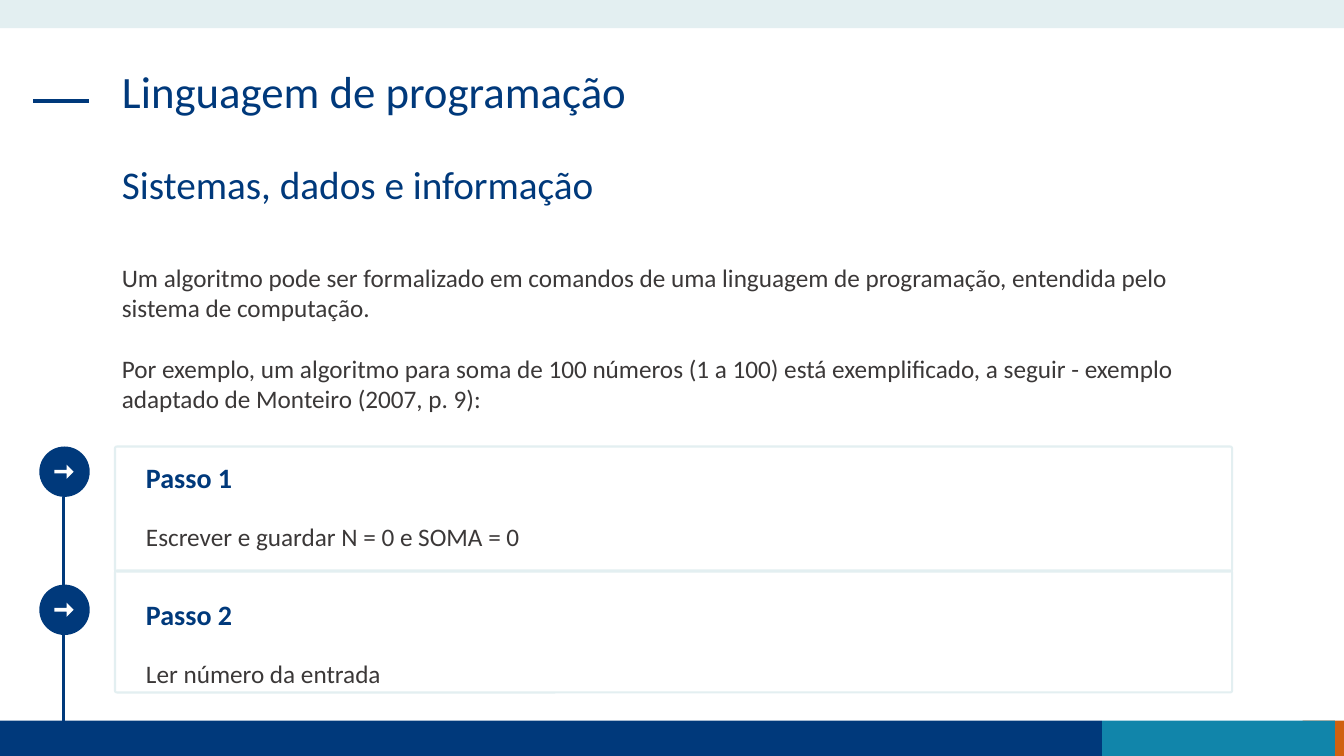
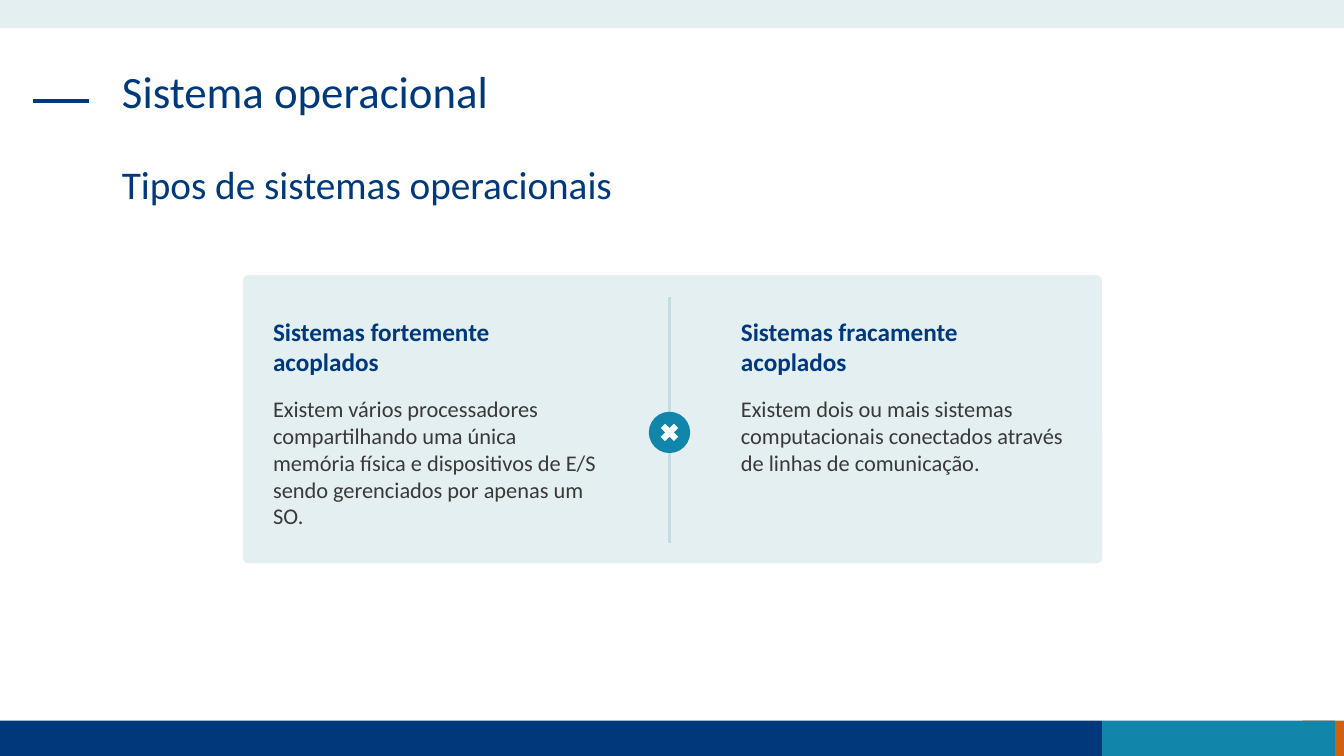
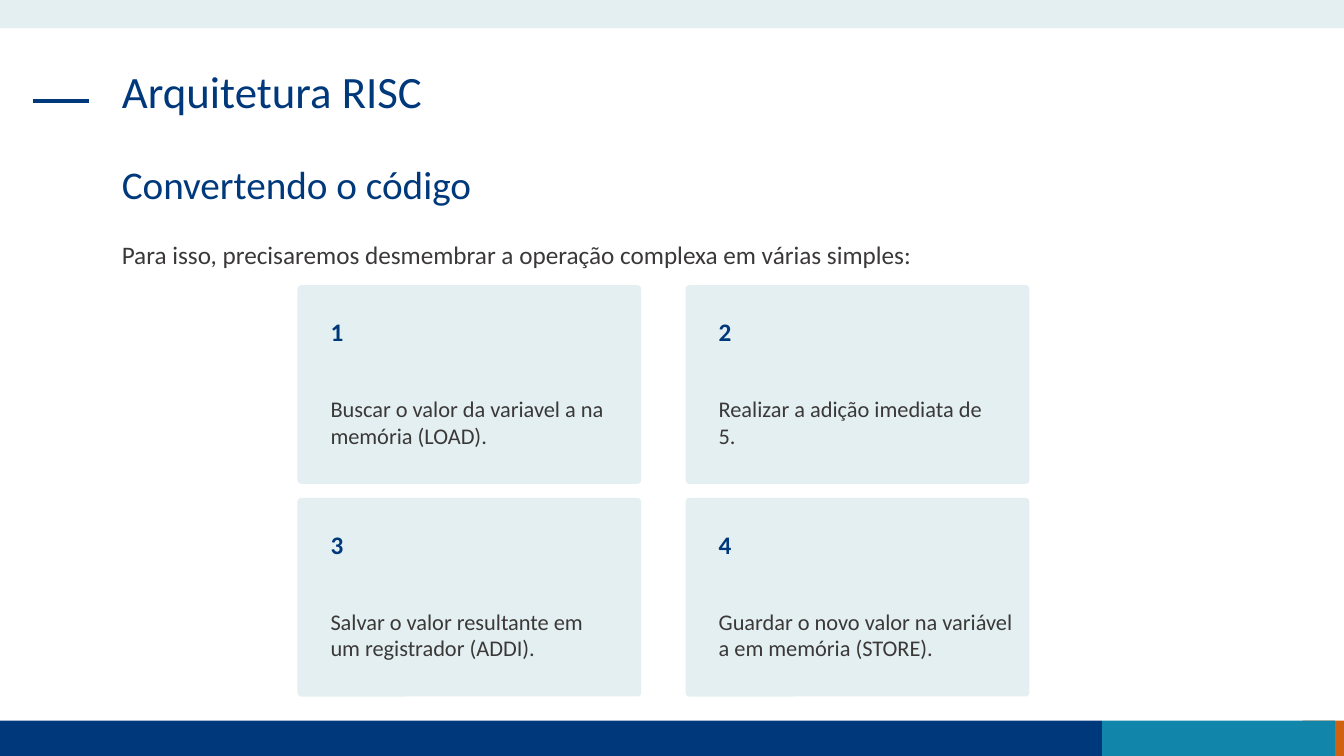
from dataclasses import dataclass

from lxml import etree
from pptx import Presentation
from pptx.dml.color import RGBColor
from pptx.enum.shapes import MSO_CONNECTOR, MSO_SHAPE
from pptx.enum.text import MSO_ANCHOR, MSO_AUTO_SIZE, PP_ALIGN
from pptx.oxml.ns import qn
from pptx.util import Inches, Pt


@dataclass(frozen=True)
class Theme:
    font: str = "Calibri"
    navy: str = "00397B"
    teal: str = "1185AA"
    orange: str = "D06110"
    pale: str = "E3EFF1"
    rule: str = "C4DDE1"
    text: str = "3B3838"
    white: str = "FFFFFF"
    title: int = 32
    subtitle: int = 28
    step: int = 20
    body: int = 18
    detail: int = 16


T = Theme()
W, H = 13.33, 7.5
LEFT, CONTENT_W = 1.11, 11.1
FOOTER_TOP = 7.15

ALGORITHM = {
    "title": "Linguagem de programação",
    "subtitle": "Sistemas, dados e informação",
    "intro": [
        "Um algoritmo pode ser formalizado em comandos de uma linguagem de "
        "programação, entendida pelo sistema de computação.",
        "Por exemplo, um algoritmo para soma de 100 números (1 a 100) está "
        "exemplificado, a seguir - exemplo adaptado de Monteiro (2007, p. 9):",
    ],
    "steps": [
        ("Passo 1", "Escrever e guardar N = 0 e SOMA = 0"),
        ("Passo 2", "Ler número da entrada"),
    ],
}
SYSTEMS = {
    "title": "Sistema operacional",
    "subtitle": "Tipos de sistemas operacionais",
    "columns": [
        ("Sistemas fortemente acoplados",
         "Existem vários processadores compartilhando uma única memória física "
         "e dispositivos de E/S sendo gerenciados por apenas um SO."),
        ("Sistemas fracamente acoplados",
         "Existem dois ou mais sistemas computacionais conectados através de "
         "linhas de comunicação."),
    ],
}
RISC = {
    "title": "Arquitetura RISC",
    "subtitle": "Convertendo o código",
    "intro": ["Para isso, precisaremos desmembrar a operação complexa em várias simples:"],
    # text and width of its box
    "cards": [
        ("Buscar o valor da variavel a na memória (LOAD).", 2.96),
        ("Realizar a adição imediata de 5.", 2.96),
        ("Salvar o valor resultante em um registrador (ADDI).", 2.96),
        ("Guardar o novo valor na variável a em memória (STORE).", 3.13),
    ],
}


def rgb(color):
    return RGBColor.from_string(color)


def add_box(s, kind, x, y, w, h, fill=None, line=None, adj=()):
    sp = s.shapes.add_shape(kind, Inches(x), Inches(y), Inches(w), Inches(h))
    sp.shadow.inherit = False
    if fill:
        sp.fill.solid()
        sp.fill.fore_color.rgb = rgb(fill)
    else:
        sp.fill.background()
    if line:
        sp.line.color.rgb = rgb(line)
        sp.line.width = Pt(1.5)
    else:
        sp.line.fill.background()
    for i, value in enumerate(adj):
        sp.adjustments[i] = value
    return sp


def add_line(s, x1, y1, x2, y2, color, width=1.5):
    ln = s.shapes.add_connector(MSO_CONNECTOR.STRAIGHT,
                                Inches(x1), Inches(y1), Inches(x2), Inches(y2))
    ln.line.color.rgb = rgb(color)
    ln.line.width = Pt(width)
    etree.SubElement(ln.element.spPr, qn("a:effectLst"))
    return ln


def write(sp, paragraphs, size, color, bold=False, spacing=None, gap=0):
    """Fill a shape with top-left text; gap is the space between paragraphs."""
    tf = sp.text_frame
    tf.word_wrap = True
    tf.auto_size = MSO_AUTO_SIZE.NONE
    tf.vertical_anchor = MSO_ANCHOR.TOP
    for i, text in enumerate(paragraphs):
        p = tf.add_paragraph() if i else tf.paragraphs[0]
        p.text = text
        p.alignment = PP_ALIGN.LEFT
        p.font.name = T.font
        p.font.size = Pt(size)
        p.font.bold = bold
        p.font.color.rgb = rgb(color)
        if spacing:
            p.line_spacing = spacing
        if i:
            p.space_before = Pt(gap)


def add_text(s, x, y, w, h, paragraphs, size=T.body, color=T.text, **style):
    sp = s.shapes.add_textbox(Inches(x), Inches(y), Inches(w), Inches(h))
    write(sp, paragraphs, size, color, **style)


def add_heading(s, x, y, w, h, text, size=T.body):
    add_text(s, x, y, w, h, [text], size, T.navy, bold=True)


def dress_layout(layout, s):
    """Draw the shared bands on a slide and move them into its layout."""
    bands = [
        (12.92, FOOTER_TOP, W - 12.92, H - FOOTER_TOP, T.orange),
        (0, FOOTER_TOP, 10.93, H - FOOTER_TOP, T.navy),
        (10.93, FOOTER_TOP, 2.31, H - FOOTER_TOP, T.teal),
        (0, 0, W, 0.28, T.pale),
    ]
    parts = [add_box(s, MSO_SHAPE.RECTANGLE, *band) for band in bands]
    parts.append(add_line(s, 0.33, 1, 0.88, 1, T.navy, 3))
    for shape_id, part in enumerate(parts, 101):
        part.element.xpath(".//p:cNvPr")[0].set("id", str(shape_id))
        layout.shapes.element.append(part.element)


def add_titles(s, content):
    title = s.shapes.title
    title.left, title.top = Inches(LEFT), Inches(0.64)
    title.width, title.height = Inches(CONTENT_W), Inches(0.94)
    write(title, [content["title"]], T.title, T.navy, spacing=0.9)
    add_text(s, LEFT, 1.59, CONTENT_W, 0.94, [content["subtitle"]],
             T.subtitle, T.navy, spacing=0.9)


def build_algorithm(s, content):
    add_text(s, LEFT, 2.55, 11.01, 1.62, content["intro"], gap=22)
    top, pitch, disc = 4.43, 1.37, 0.5
    add_line(s, 0.63, top + disc, 0.63, FOOTER_TOP, T.navy)
    frames = [(top, 1.24), (5.66, 1.21)]
    heads = [(4.52, 5.12), (5.88, 6.48)]
    for i, (head, detail) in enumerate(content["steps"]):
        y = top + i * pitch
        add_box(s, MSO_SHAPE.OVAL, 0.39, y, disc, disc, T.navy)
        add_box(s, MSO_SHAPE.RIGHT_ARROW, 0.54, y + 0.18, 0.19, 0.14,
                T.white, adj=(0.255, 0.5))
        frame_y, frame_h = frames[i]
        add_box(s, MSO_SHAPE.ROUNDED_RECTANGLE, 1.14, frame_y, 11.08, frame_h,
                line=T.pale, adj=(0.016,))
        head_y, detail_y = heads[i]
        add_heading(s, 1.35, head_y, 10.54, 0.44, head, T.step)
        add_text(s, 1.35, detail_y, 10.54, 0.4, [detail])


def build_systems(s, content):
    add_box(s, MSO_SHAPE.ROUNDED_RECTANGLE, 2.41, 2.73, 8.52, 2.86, T.pale, adj=(0.019,))
    for i, (head, detail) in enumerate(content["columns"]):
        x = 2.61 + i * 4.64
        add_heading(s, x, 3.09, 3.41, 0.71, head)
        add_text(s, x, 3.87, 3.41, 1.45, [detail], T.detail)
    cx, cy = 6.64, 4.29
    add_line(s, cx, 2.95, cx, 5.39, T.rule)
    for kind, size, color in [(MSO_SHAPE.OVAL, 0.41, T.teal),
                              (MSO_SHAPE.MATH_MULTIPLY, 0.25, T.white)]:
        add_box(s, kind, cx - size / 2, cy - size / 2, size, size, color)


def build_risc(s, content):
    add_text(s, LEFT, 2.33, 11.43, 0.4, content["intro"])
    for i, (detail, width) in enumerate(content["cards"]):
        row, col = divmod(i, 2)
        x, y = 2.95 + col * 3.85, 2.83 + row * 2.11
        add_box(s, MSO_SHAPE.ROUNDED_RECTANGLE, x, y, 3.41, 1.97, T.pale, adj=(0.019,))
        add_heading(s, x + 0.23, y + 0.26, 2.96, 0.4, str(i + 1))
        add_text(s, x + 0.23, y + 1.04, width, 0.64, [detail], T.detail)


def main():
    prs = Presentation()
    prs.slide_width, prs.slide_height = Inches(W), Inches(H)
    layout = prs.slide_layouts[5]
    pages = [(build_algorithm, ALGORITHM), (build_systems, SYSTEMS), (build_risc, RISC)]
    for i, (build, content) in enumerate(pages):
        s = prs.slides.add_slide(layout)
        if i == 0:
            dress_layout(layout, s)
        add_titles(s, content)
        build(s, content)
    prs.save("out.pptx")


if __name__ == "__main__":
    main()
